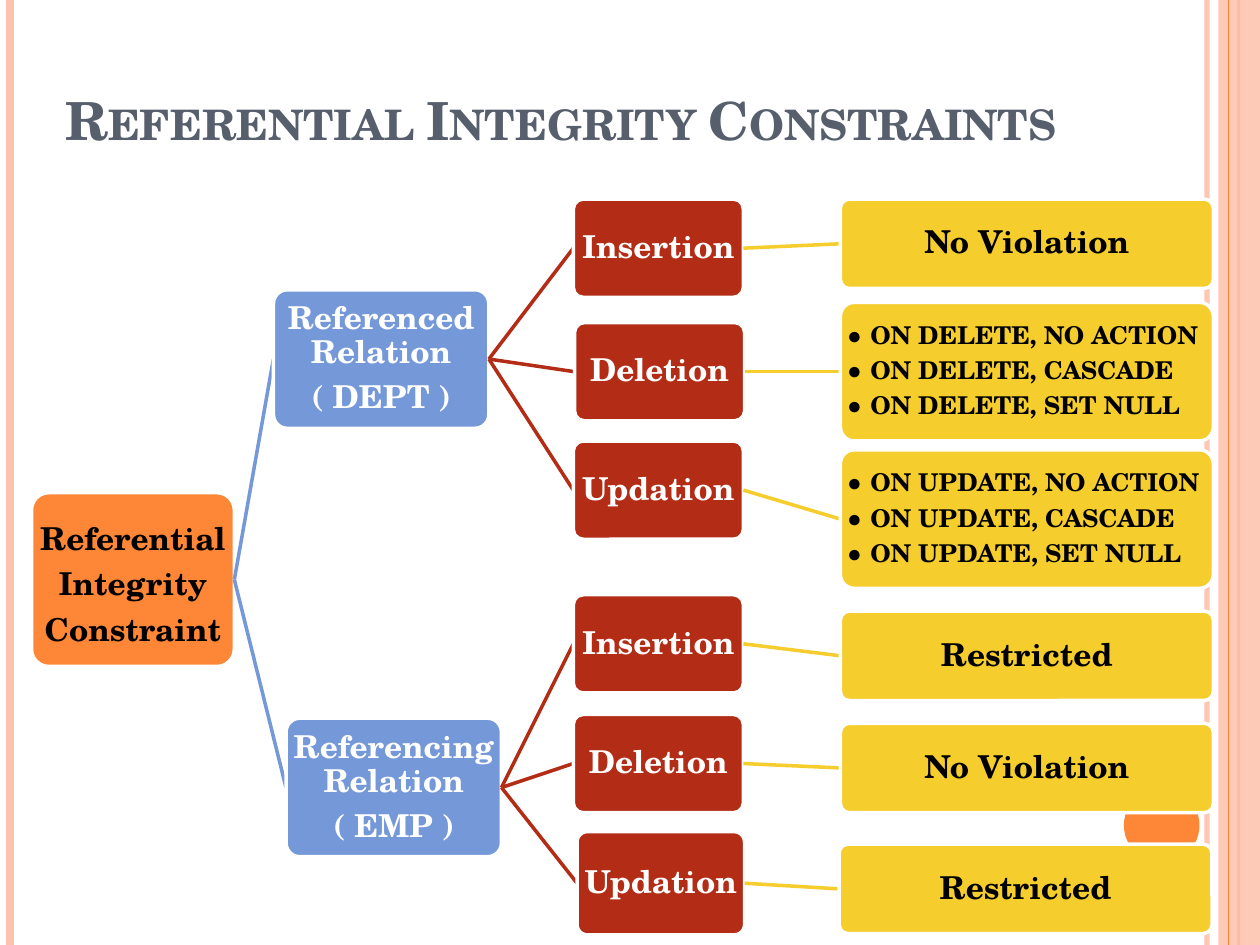
from lxml import etree
from pptx import Presentation
from pptx.dml.color import RGBColor
from pptx.enum.shapes import MSO_CONNECTOR, MSO_SHAPE
from pptx.enum.text import MSO_ANCHOR, PP_ALIGN
from pptx.oxml.ns import qn
from pptx.util import Inches, Pt

STRAIGHT = MSO_CONNECTOR.STRAIGHT
RECTANGLE, OVAL, ROUNDED = MSO_SHAPE.RECTANGLE, MSO_SHAPE.OVAL, MSO_SHAPE.ROUNDED_RECTANGLE
MIDDLE, BOTTOM = MSO_ANCHOR.MIDDLE, MSO_ANCHOR.BOTTOM
LEFT, CENTER = PP_ALIGN.LEFT, PP_ALIGN.CENTER

FONT = "TeX Gyre Schola"
COLORS = {
    "orange": "FE8637", "peach": "FEC3AE", "blue": "7598D9", "red": "B32C16",
    "yellow": "F5CD2D", "slate": "575F6D", "white": "FFFFFF", "black": "000000",
}

# Content: each node is (paragraphs, (left, top, width, height), children)
TITLE = "Referential Integrity Constraints"
RESULT_HEIGHT, RULES_HEIGHT = 0.71, 1.1


def action(name, top, outcome, outcome_top, left=4.55, width=1.35, height=0.78,
           outcome_left=6.67):
    outcome_height = RULES_HEIGHT if len(outcome) > 1 else RESULT_HEIGHT
    leaf = (outcome, (outcome_left, outcome_top, 2.96, outcome_height), [])
    return [name], (left, top, width, height), [leaf]


def rules(event):
    return [f"● ON {event}, {choice}" for choice in ("NO ACTION", "CASCADE", "SET NULL")]


TREE = (["Referential Integrity Constraint"], (0.25, 3.91, 1.61, 1.38), [
    (["Referenced Relation", "( DEPT )"], (2.17, 2.3, 1.71, 1.1), [
        action("Insertion", 1.58, ["No Violation"], 1.58),
        action("Deletion", 2.56, rules("DELETE"), 2.4, left=4.56),
        action("Updation", 3.5, rules("UPDATE"), 3.57),
    ]),
    (["Referencing Relation", "( EMP )"], (2.27, 5.7, 1.71, 1.1), [
        action("Insertion", 4.72, ["Restricted"], 4.85),
        action("Deletion", 5.67, ["No Violation"], 5.74),
        action("Updation", 6.6, ["Restricted"], 6.7, left=4.58, width=1.33,
               height=0.82, outcome_left=6.66),
    ]),
])
# Fill, text colour and line spacing for each depth of the tree
LEVELS = [("orange", "black", 1.2), ("blue", "white", 0.9),
          ("red", "white", 0.9), ("yellow", "black", 0.9)]

# Vertical rules: x, colour, points, opacity percent
RULES = [(9.58, "peach", 3, 93), (0.08, "peach", 4.5, 100), (9.83, "orange", 1.5, 100)]
INNER_RULE = (9.75, "orange", 0.75, 100)


def rgb(name):
    return RGBColor.from_string(COLORS[name])


def set_opacity(element, percent):
    color = next(element.iter(qn("a:srgbClr")))
    etree.SubElement(color, qn("a:alpha")).set("val", str(percent * 1000))


def add_line(slide, start, end, color, points, opacity=100):
    line = slide.shapes.add_connector(STRAIGHT, *map(Inches, start + end))
    line.line.color.rgb = rgb(color)
    line.line.width = Pt(points)
    properties = line._element.spPr
    if opacity < 100:
        set_opacity(properties, opacity)
    etree.SubElement(properties, qn("a:effectLst"))


def add_rule(slide, x, color, points, opacity):
    add_line(slide, (x, 0), (x, 7.5), color, points, opacity)


def add_box(slide, kind, frame, fill):
    box = slide.shapes.add_shape(kind, *map(Inches, frame))
    box.shadow.inherit = False
    box.fill.solid()
    box.fill.fore_color.rgb = rgb(fill)
    box.line.fill.background()
    return box


def add_span(para, text, size, color):
    span = para.add_run()
    span.text = text
    span.font.name = FONT
    span.font.size = Pt(size)
    span.font.bold = True
    span.font.color.rgb = rgb(color)
    return span


def add_node(slide, node, depth=0):
    paragraphs, (left, top, width, height), children = node
    fill, text_color, spacing = LEVELS[depth]
    box = add_box(slide, ROUNDED, (left, top, width, height), fill)
    box.adjustments[0] = 0.1
    box.line.color.rgb = rgb("white")
    box.line.width = Pt(2)

    frame = box.text_frame
    frame.word_wrap = True
    frame.vertical_anchor = MIDDLE
    frame.margin_left = frame.margin_right = Inches(0.01)
    frame.margin_top = frame.margin_bottom = Inches(0.01)
    is_list = len(paragraphs) > 2
    size = 14 if is_list else 18
    for index, text in enumerate(paragraphs):
        para = frame.paragraphs[0] if index == 0 else frame.add_paragraph()
        para.alignment = LEFT if is_list else CENTER
        para.line_spacing = spacing
        para.space_after = Pt(0.35 * size)
        add_span(para, text, size, text_color)

    # Branches run from the right edge to the middle of each child's left edge
    start = (left + width, top + height / 2)
    for child in children:
        child_left, child_top, _, child_height = child[1]
        end = (child_left, child_top + child_height / 2)
        add_line(slide, start, end, LEVELS[depth + 1][0], 2)
        add_node(slide, child, depth + 1)


def main():
    deck = Presentation()
    deck.slide_width, deck.slide_height = Inches(10), Inches(7.5)
    slide = deck.slides.add_slide(deck.slide_layouts[6])

    # Side decoration
    for rule in RULES:
        add_rule(slide, *rule)
    band = add_box(slide, RECTANGLE, (9.67, 0, 0.33, 7.5), "peach")
    set_opacity(band._element.spPr, 87)
    add_rule(slide, *INNER_RULE)
    add_box(slide, OVAL, (8.92, 6.25, 0.6, 0.6), "orange")

    # Title
    title = slide.shapes.add_textbox(*map(Inches, (0.42, 0, 8.17, 1.25)))
    title.text_frame.word_wrap = True
    title.text_frame.vertical_anchor = BOTTOM
    span = add_span(title.text_frame.paragraphs[0], TITLE, 30, "slate")
    span.font._element.set("cap", "small")

    # Constraint tree
    add_node(slide, TREE)
    deck.save("out.pptx")


if __name__ == "__main__":
    main()
